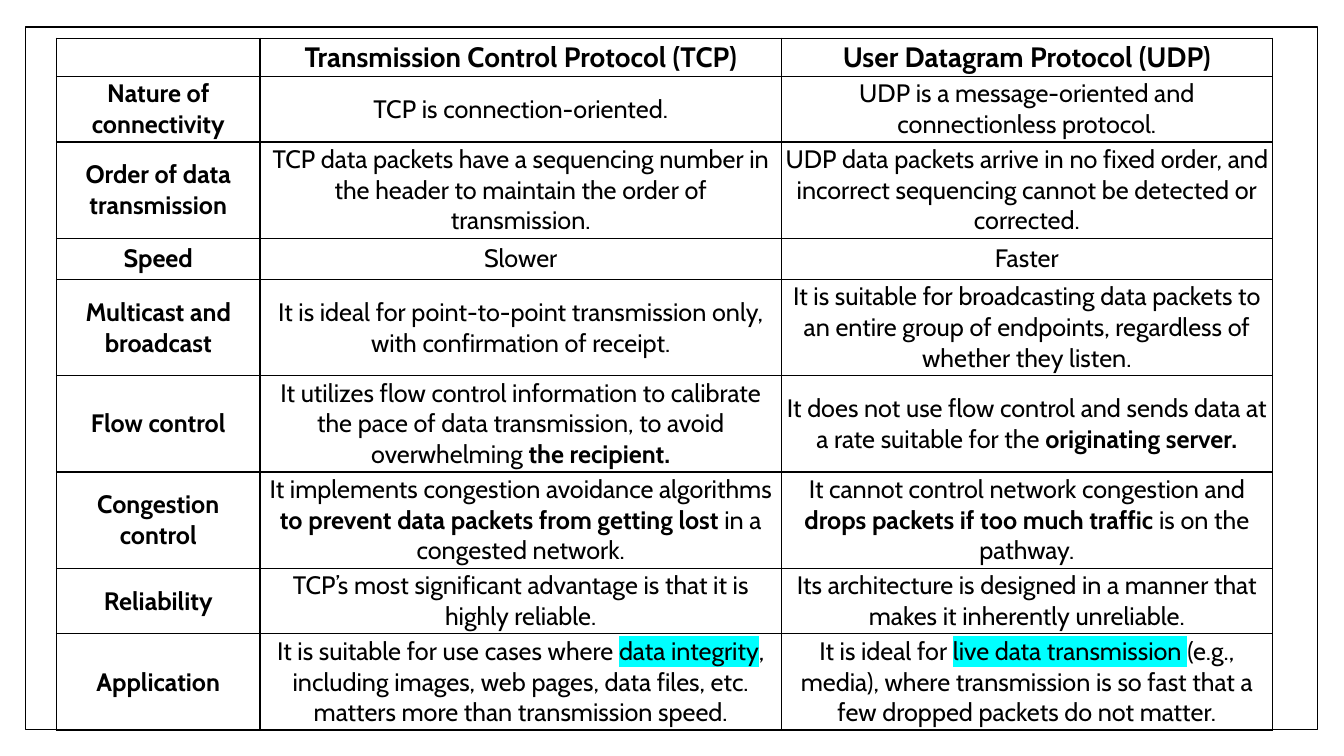
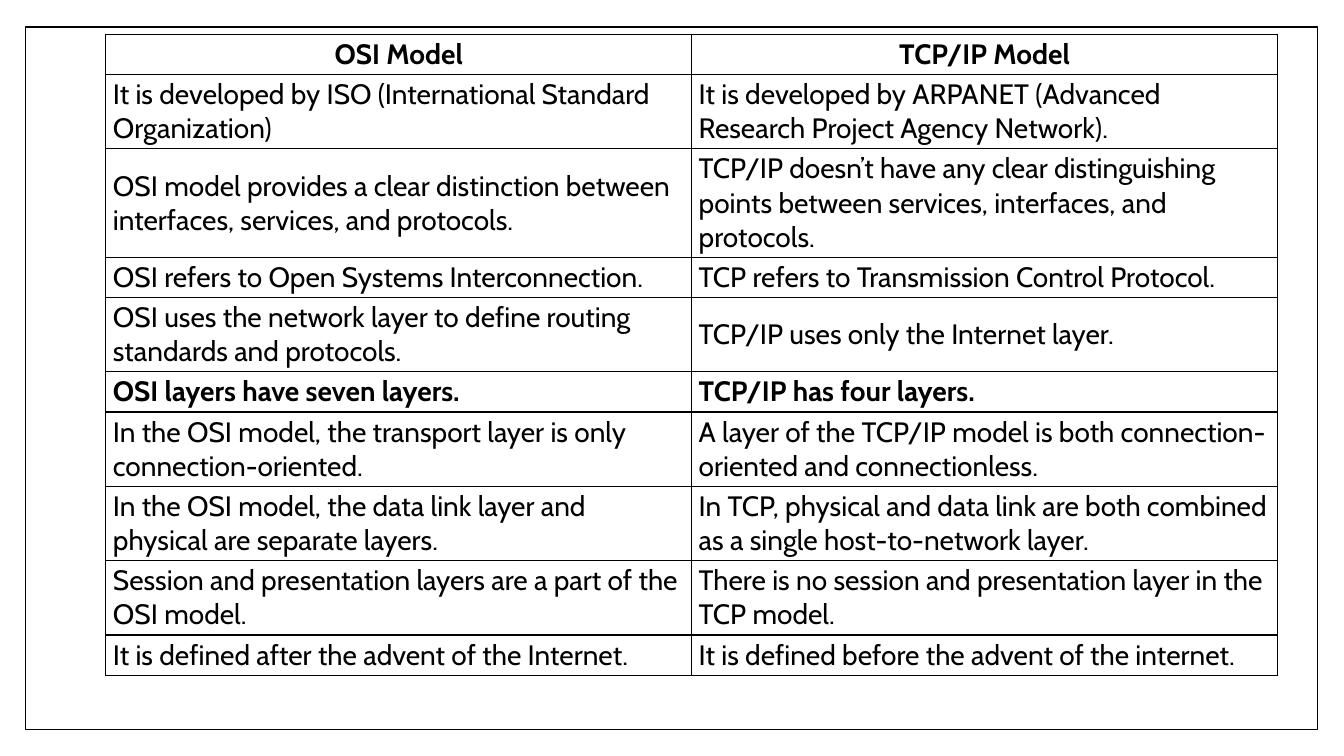
from lxml import etree
from pptx import Presentation
from pptx.dml.color import RGBColor
from pptx.enum.shapes import MSO_SHAPE
from pptx.enum.text import MSO_ANCHOR, PP_ALIGN
from pptx.oxml import parse_xml
from pptx.oxml.ns import nsdecls, qn
from pptx.util import Inches, Pt

# Shared style
FONT, BLACK, WHITE, CYAN = "Cabin", "000000", "FFFFFF", "00FFFF"
BOLD, MARK = "bold", "mark"
rgb = RGBColor.from_string


def add_run(p, text, size=18, bold=False, highlight=None):
    r = p.add_run()
    r.text = text
    r.font.size, r.font.bold, r.font.name = Pt(size), bold, FONT
    r.font.color.rgb = rgb(BLACK)
    if highlight:
        mark = etree.Element(qn("a:highlight"))
        etree.SubElement(mark, qn("a:srgbClr"), val=highlight)
        r.font._element.find(qn("a:solidFill")).addnext(mark)


def format_cell(cell, inset_x, inset_y):
    cell.margin_left = cell.margin_right = Inches(inset_x)
    cell.margin_top = cell.margin_bottom = Inches(inset_y)
    cell.vertical_anchor = MSO_ANCHOR.MIDDLE
    for side in "LRTB":
        cell._tc.get_or_add_tcPr().append(parse_xml(
            f'<a:ln{side} {nsdecls("a")} w="{Pt(1)}"><a:solidFill>'
            f'<a:srgbClr val="{BLACK}"/></a:solidFill></a:ln{side}>'))
    cell.fill.background()


# Table contents: a cell is a text, or a list of texts and (text, style) pairs
tcp_udp = [
    ["", "Transmission Control Protocol (TCP)", "User Datagram Protocol (UDP)"],
    ["Nature of connectivity",
     "TCP is connection-oriented.",
     "UDP is a message-oriented and connectionless protocol."],
    ["Order of data transmission",
     "TCP data packets have a sequencing number in the header to maintain "
     "the order of transmission.",
     "UDP data packets arrive in no fixed order, and incorrect sequencing "
     "cannot be detected or corrected."],
    ["Speed", "Slower", "Faster"],
    ["Multicast and broadcast",
     "It is ideal for point-to-point transmission only, with confirmation of receipt.",
     "It is suitable for broadcasting data packets to an entire group of "
     "endpoints, regardless of whether they listen."],
    ["Flow control",
     ["It utilizes flow control information to calibrate the pace of data "
      "transmission, to avoid overwhelming ", ("the recipient.", BOLD)],
     ["It does not use flow control and sends data at a rate suitable for the ",
      ("originating server.", BOLD)]],
    ["Congestion control",
     ["It implements congestion avoidance algorithms ",
      ("to prevent data packets from getting lost ", BOLD),
      "in a congested network."],
     ["It cannot control network congestion and ",
      ("drops packets if too much traffic ", BOLD),
      "is on the pathway."]],
    ["Reliability",
     "TCP’s most significant advantage is that it is highly reliable.",
     "Its architecture is designed in a manner that makes it inherently unreliable."],
    ["Application",
     ["It is suitable for use cases where ", ("data integrity", MARK),
      ", including images, web pages, data files, etc. matters more than "
      "transmission speed."],
     ["It is ideal for ", ("live data transmission ", MARK),
      "(e.g., media), where transmission is so fast that a few dropped "
      "packets do not matter."]],
]
osi_tcpip = [
    ["OSI Model", "TCP/IP Model"],
    ["It is developed by ISO (International Standard Organization)",
     "It is developed by ARPANET (Advanced Research Project Agency Network)."],
    ["OSI model provides a clear distinction between interfaces, services, and protocols.",
     "TCP/IP doesn’t have any clear distinguishing points between services, "
     "interfaces, and protocols."],
    ["OSI refers to Open Systems Interconnection.",
     "TCP refers to Transmission Control Protocol."],
    ["OSI uses the network layer to define routing standards and protocols.",
     "TCP/IP uses only the Internet layer."],
    [[("OSI layers have seven layers.", BOLD)], [("TCP/IP has four layers.", BOLD)]],
    ["In the OSI model, the transport layer is only connection-oriented.",
     "A layer of the TCP/IP model is both connection-oriented and connectionless."],
    ["In the OSI model, the data link layer and physical are separate layers.",
     "In TCP, physical and data link are both combined as a single "
     "host-to-network layer."],
    ["Session and presentation layers are a part of the OSI model.",
     "There is no session and presentation layer in the TCP model."],
    ["It is defined after the advent of the Internet.",
     "It is defined before the advent of the internet."],
]

# Layout of each slide's table
tables = [
    dict(data=tcp_udp, left=0.56, top=0.38, cols=[2.02, 5.17, 4.87],
         rows=[0.37, 0.39, 0.69, 0.41, 0.69, 0.69, 0.69, 0.53, 0.85],
         inset=(0.04, 0.02), size=18, align=PP_ALIGN.CENTER, row_heads=True),
    dict(data=osi_tcpip, left=1.05, top=0.34, cols=[5.81, 5.81],
         rows=[0.27, 0.47, 0.47, 0.27, 0.47, 0.27, 0.47, 0.47, 0.47, 0.27],
         inset=(0.07, 0.03), size=20, align=PP_ALIGN.LEFT, row_heads=False),
]

prs = Presentation()
prs.slide_width, prs.slide_height = Inches(13.33), Inches(7.5)

for t in tables:
    s = prs.slides.add_slide(prs.slide_layouts[6])

    # Page frame
    sp = s.shapes.add_shape(MSO_SHAPE.RECTANGLE, Inches(0.25), Inches(0.27),
                            Inches(12.82), Inches(6.97))
    sp.shadow.inherit = False
    sp.fill.solid()
    sp.fill.fore_color.rgb = rgb(WHITE)
    sp.line.color.rgb = rgb(BLACK)
    sp.line.width = Pt(1)

    # Table grid
    tbl = s.shapes.add_table(len(t["rows"]), len(t["cols"]),
                             Inches(t["left"]), Inches(t["top"]),
                             Inches(sum(t["cols"])), Inches(sum(t["rows"]))).table
    tbl.first_row = tbl.horz_banding = False
    for col, width in zip(tbl.columns, t["cols"]):
        col.width = Inches(width)
    for row, height in zip(tbl.rows, t["rows"]):
        row.height = Inches(height)

    # Cell text
    for i, texts in enumerate(t["data"]):
        for j, content in enumerate(texts):
            cell = tbl.cell(i, j)
            format_cell(cell, *t["inset"])
            p = cell.text_frame.paragraphs[0]
            p.alignment = PP_ALIGN.CENTER if i == 0 else t["align"]
            head = i == 0 or (t["row_heads"] and j == 0)
            for part in [content] if isinstance(content, str) else content:
                text, style = (part, None) if isinstance(part, str) else part
                if text:
                    add_run(p, text, size=20 if i == 0 else t["size"],
                            bold=head or style == BOLD,
                            highlight=CYAN if style == MARK else None)

prs.save("out.pptx")
